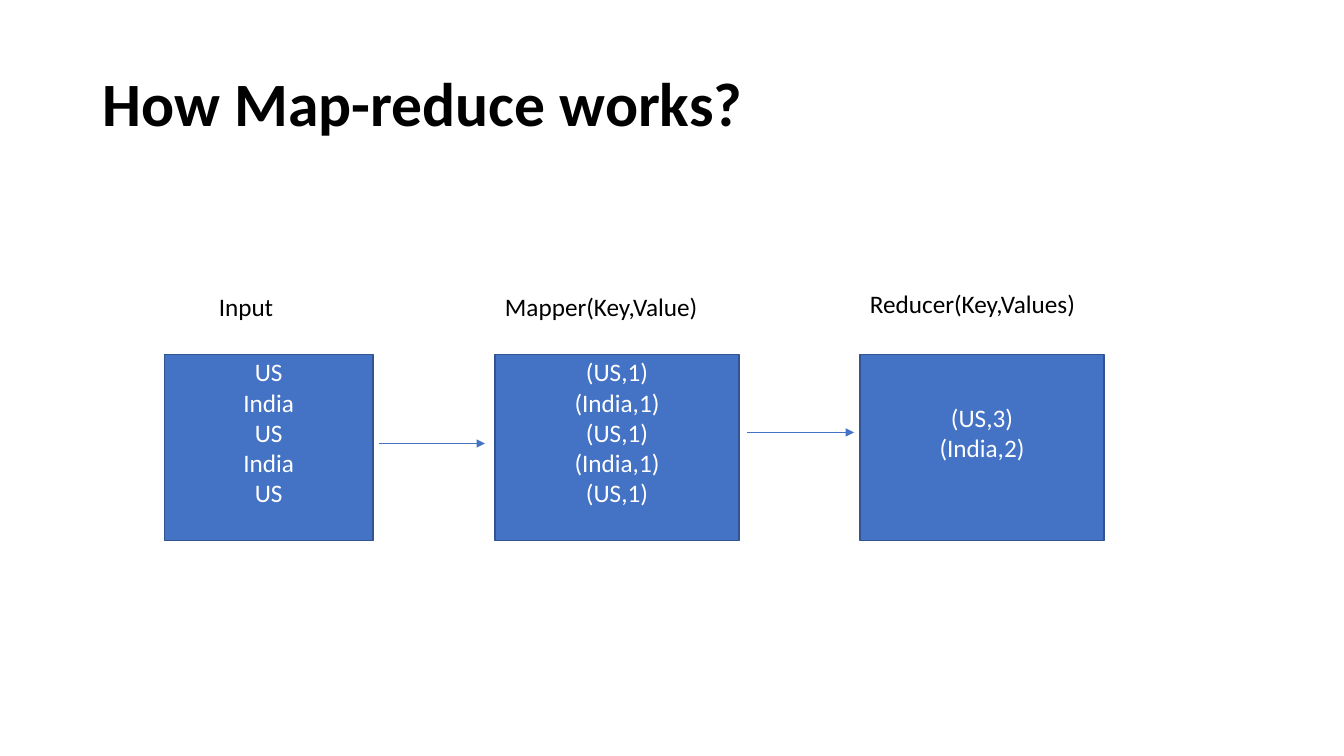
from lxml import etree
from pptx import Presentation
from pptx.dml.color import RGBColor
from pptx.enum.shapes import MSO_CONNECTOR, MSO_SHAPE
from pptx.enum.text import MSO_ANCHOR, PP_ALIGN
from pptx.oxml.ns import qn
from pptx.util import Inches, Pt

RECTANGLE = MSO_SHAPE.RECTANGLE
STRAIGHT = MSO_CONNECTOR.STRAIGHT
TOP, MIDDLE = MSO_ANCHOR.TOP, MSO_ANCHOR.MIDDLE
LEFT, CENTER = PP_ALIGN.LEFT, PP_ALIGN.CENTER

COLORS = {"text": "000000", "box": "4472C4", "border": "325491", "box_text": "FFFFFF"}
FONT = "Calibri"
BOX_TOP, BOX_HEIGHT = 3.52, 1.84

# Label, label top, label indent, box left, box width, records
STAGES = [
    ("Input", 2.84, 0.44, 1.63, 2.07, ["US", "India", "US", "India", "US"]),
    ("Mapper(Key,Value)", 2.84, 0, 4.91, 2.42,
     ["(US,1)", "(India,1)", "(US,1)", "(India,1)", "(US,1)"]),
    ("Reducer(Key,Values)", 2.81, 0, 8.53, 2.42, ["(US,3)", "(India,2)"]),
]
# Start x, end x, y
ARROWS = [(3.76, 4.81, 4.4), (7.41, 8.47, 4.29)]


def color(name):
    return RGBColor.from_string(COLORS[name])


def write_text(shape, lines, size=18, fill="text", bold=False, align=LEFT,
               anchor=TOP, spacing=1.0, inset_left=0.1, inset_bottom=0.05):
    frame = shape.text_frame
    frame.word_wrap = True
    frame.vertical_anchor = anchor
    frame.margin_left = Inches(inset_left)
    frame.margin_bottom = Inches(inset_bottom)
    for index, line in enumerate(lines):
        para = frame.add_paragraph() if index else frame.paragraphs[0]
        para.alignment = align
        para.line_spacing = spacing
        span = para.add_run()
        span.text = line
        span.font.name = FONT
        span.font.size = Pt(size)
        span.font.bold = bold
        span.font.color.rgb = color(fill)


def add_title(page, text):
    title = page.shapes.title
    title.left, title.top = Inches(0.92), Inches(0.33)
    title.width, title.height = Inches(11.5), Inches(1.45)
    write_text(title, [text], size=44, bold=True, anchor=MIDDLE, spacing=0.9)


def add_label(page, text, left, top, width, indent):
    label = page.shapes.add_textbox(Inches(left), Inches(top), Inches(width), Inches(0.4))
    write_text(label, [text], inset_left=0.1 + indent)


def add_box(page, records, left, width):
    box = page.shapes.add_shape(RECTANGLE, Inches(left), Inches(BOX_TOP),
                                Inches(width), Inches(BOX_HEIGHT))
    box.shadow.inherit = False
    box.fill.solid()
    box.fill.fore_color.rgb = color("box")
    box.line.color.rgb = color("border")
    box.line.width = Pt(1)
    # The deeper bottom inset lifts the records by half a line
    write_text(box, records, fill="box_text", align=CENTER, anchor=MIDDLE,
               inset_bottom=0.35)


def add_arrow(page, start, end, y):
    arrow = page.shapes.add_connector(STRAIGHT, Inches(start), Inches(y),
                                      Inches(end), Inches(y))
    arrow.line.color.rgb = color("box")
    arrow.line.width = Pt(0.5)
    etree.SubElement(arrow.line._get_or_add_ln(), qn("a:tailEnd"), type="triangle")
    etree.SubElement(arrow._element.spPr, qn("a:effectLst"))


def main():
    deck = Presentation()
    deck.slide_width, deck.slide_height = Inches(13.33), Inches(7.5)
    page = deck.slides.add_slide(deck.slide_layouts[5])
    add_title(page, "How Map-reduce works?")

    # Stages with their labels
    for label, label_top, indent, left, width, records in STAGES:
        add_box(page, records, left, width)
        add_label(page, label, left, label_top, width, indent)

    # Flow between the stages
    for start, end, y in ARROWS:
        add_arrow(page, start, end, y)

    deck.save("out.pptx")


main()
